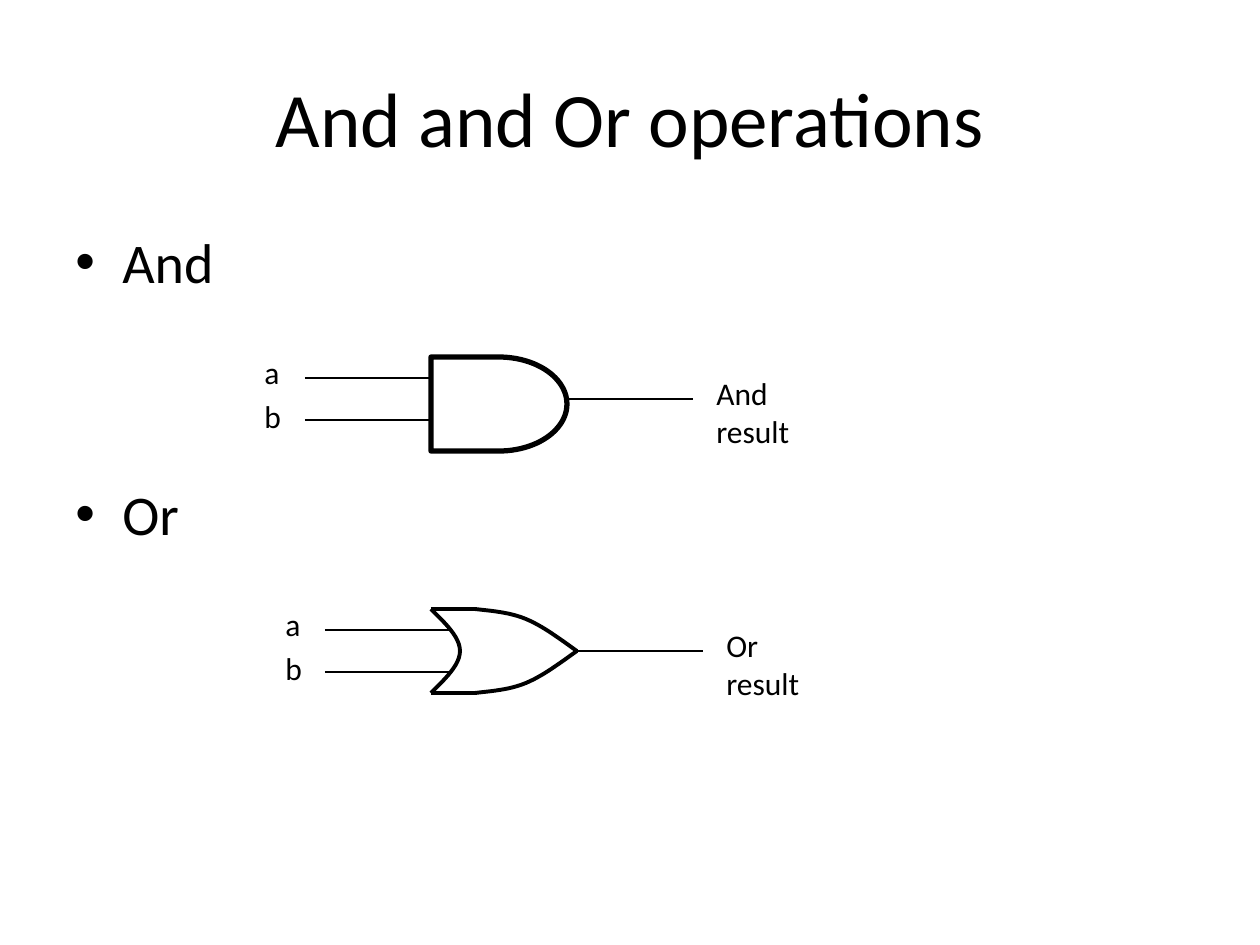
from lxml.etree import SubElement
from pptx import Presentation
from pptx.dml.color import RGBColor
from pptx.enum.shapes import MSO_CONNECTOR, MSO_SHAPE
from pptx.enum.text import MSO_ANCHOR, MSO_AUTO_SIZE, PP_ALIGN
from pptx.oxml.ns import qn
from pptx.util import Emu, Pt

PX = 914400 / 126
FONT = "Calibri"
COLOURS = {"ink": "000000", "paper": "FFFFFF"}
WIRE_LENGTH = 126

TITLE = "And and Or operations"
BULLETS = [("And", 221), ("Or", 473)]  # text, top
GATES = [
    {
        "inputs": [("a", 347, 378), ("b", 391, 420)],  # text, label top, wire height
        "input_left": 305,
        "label_left": 252,
        "output": ("And result", 704, 368),  # text, left, top
        "output_start": (567, 399),
    },
    {
        "inputs": [("a", 599, 630), ("b", 643, 672)],
        "input_left": 325,
        "label_left": 273,
        "output": ("Or result", 714, 620),
        "output_start": (577, 651),
    },
]
AND_BODY = (431, 357, 136, 94)
OR_LEFT, OR_BEND, OR_TIP = 431, 475, 577
OR_TOP, OR_MIDDLE, OR_BOTTOM = 609, 651, 693
# Each curve is a list of Bezier segments: start, two controls, end
OR_BACK = [
    [(OR_LEFT, OR_BOTTOM), (445, 679), (460, 665), (460, OR_MIDDLE)],
    [(460, OR_MIDDLE), (460, 637), (445, 623), (OR_LEFT, OR_TOP)],
]
OR_UPPER = [
    [(OR_BEND, OR_TOP), (492, 611), (509, 612), (526, 619)],
    [(526, 619), (543, 626), (560, 639), (OR_TIP, OR_MIDDLE)],
]
OR_LOWER = [[(x, 2 * OR_MIDDLE - y) for x, y in segment] for segment in OR_UPPER]


def emu(*lengths):
    return [Emu(round(length * PX)) for length in lengths]


def colour(name):
    return RGBColor.from_string(COLOURS[name])


def style_text(paragraph, size):
    for run in paragraph.runs:
        run.font.name = FONT
        run.font.size = Pt(size)
        run.font.color.rgb = colour("ink")


def style_outline(shape, width):
    shape.fill.background()
    shape.line.color.rgb = colour("ink")
    shape.line.width = Pt(width)
    shape.shadow.inherit = False


def add_line(slide, start, end, width=0.75):
    line = slide.shapes.add_connector(MSO_CONNECTOR.STRAIGHT, *emu(*start, *end))
    line.line.color.rgb = colour("ink")
    line.line.width = Pt(width)
    SubElement(line._element.spPr, qn("a:effectLst"))


def add_label(slide, text, left, top):
    width = 20 + 11 * len(text)
    frame = slide.shapes.add_textbox(*emu(left, top, width, 50)).text_frame
    frame.word_wrap = False
    frame.auto_size = MSO_AUTO_SIZE.SHAPE_TO_FIT_TEXT
    frame.text = text
    style_text(frame.paragraphs[0], 18)


def add_bullet(slide, text, top):
    frame = slide.shapes.add_textbox(*emu(63, top, 1134, 94)).text_frame
    frame.word_wrap = True
    frame.text = text
    paragraph = frame.paragraphs[0]
    paragraph.space_before = Pt(8)
    style_text(paragraph, 32)
    properties = paragraph._p.get_or_add_pPr()
    indent = emu(47)[0]
    properties.set("marL", str(indent))
    properties.set("indent", str(-indent))
    SubElement(properties, qn("a:buFont"), typeface="Arial")
    SubElement(properties, qn("a:buChar"), char="•")


def bezier_point(segment, t):
    weights = ((1 - t) ** 3, 3 * t * (1 - t) ** 2, 3 * t * t * (1 - t), t ** 3)
    return [sum(w * point[axis] for w, point in zip(weights, segment)) for axis in (0, 1)]


def add_curve(slide, segments, steps=12):
    """Draw Bezier segments as one open outline of short straight steps."""
    points = [
        emu(*bezier_point(segment, step / steps))
        for segment in segments
        for step in range(1, steps + 1)
    ]
    builder = slide.shapes.build_freeform(*emu(*segments[0][0]))
    builder.add_line_segments(points, close=False)
    style_outline(builder.convert_to_shape(), 2.25)


def add_wires(slide, gate):
    left = gate["input_left"]
    for text, label_top, height in gate["inputs"]:
        add_line(slide, (left, height), (left + WIRE_LENGTH, height))
        add_label(slide, text, gate["label_left"], label_top)
    x, y = gate["output_start"]
    add_line(slide, (x, y), (x + WIRE_LENGTH, y))
    add_label(slide, *gate["output"])


def main():
    presentation = Presentation()
    presentation.slide_width, presentation.slide_height = emu(1260, 945)
    slide = presentation.slides.add_slide(presentation.slide_layouts[5])
    slide.background.fill.solid()
    slide.background.fill.fore_color.rgb = colour("paper")

    title = slide.shapes.title
    title.left, title.top, title.width, title.height = emu(63, 38, 1134, 157)
    title.text_frame.text = TITLE
    title.text_frame.vertical_anchor = MSO_ANCHOR.MIDDLE
    title.text_frame.paragraphs[0].alignment = PP_ALIGN.CENTER
    style_text(title.text_frame.paragraphs[0], 44)

    for text, top in BULLETS:
        add_bullet(slide, text, top)
    for gate in GATES:
        add_wires(slide, gate)

    and_body = slide.shapes.add_shape(MSO_SHAPE.FLOWCHART_DELAY, *emu(*AND_BODY))
    style_outline(and_body, 3)
    for curve in (OR_BACK, OR_UPPER, OR_LOWER):
        add_curve(slide, curve)
    for height in (OR_TOP, OR_BOTTOM):
        add_line(slide, (OR_LEFT, height), (OR_BEND, height), 2.25)

    presentation.save("out.pptx")


if __name__ == "__main__":
    main()
